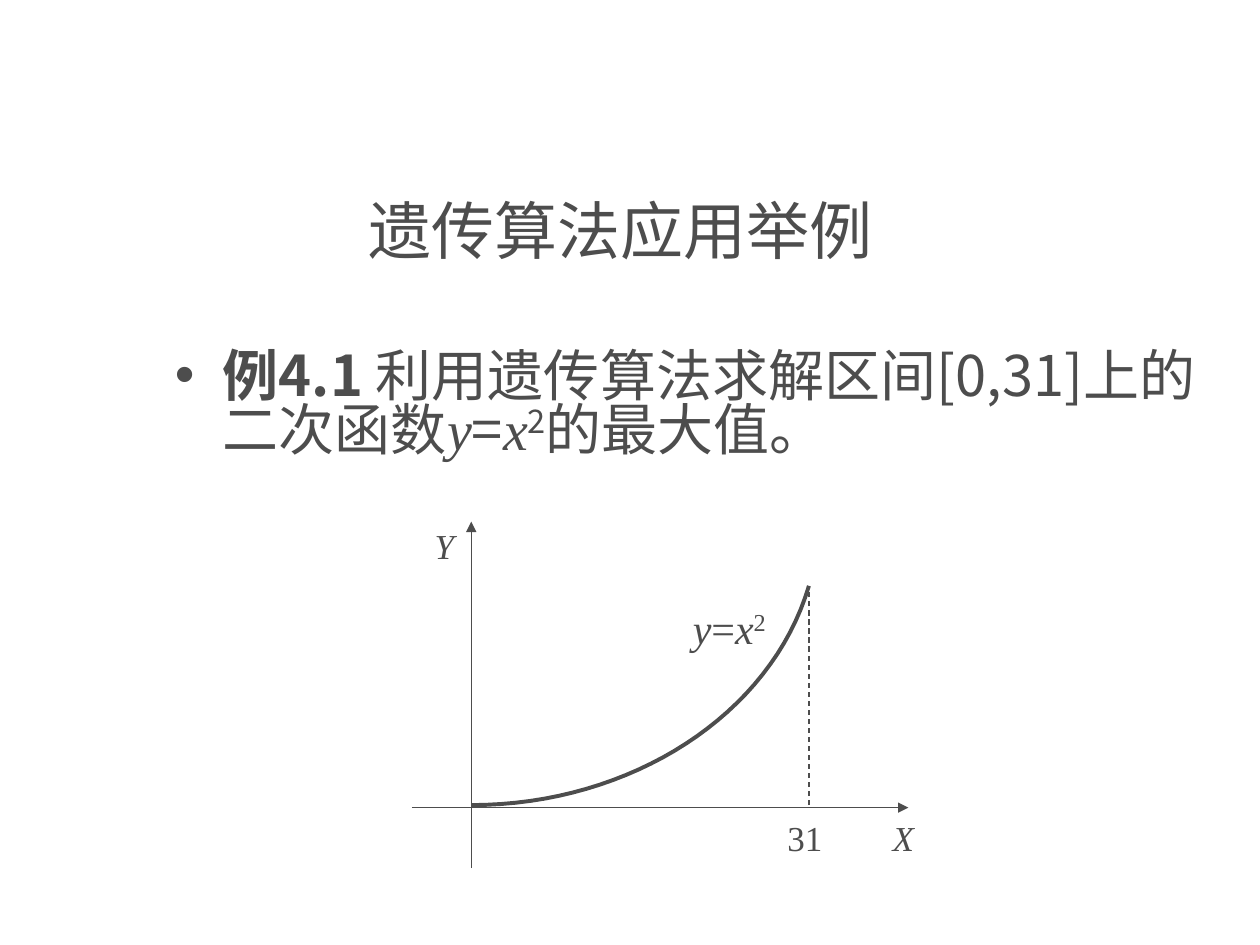
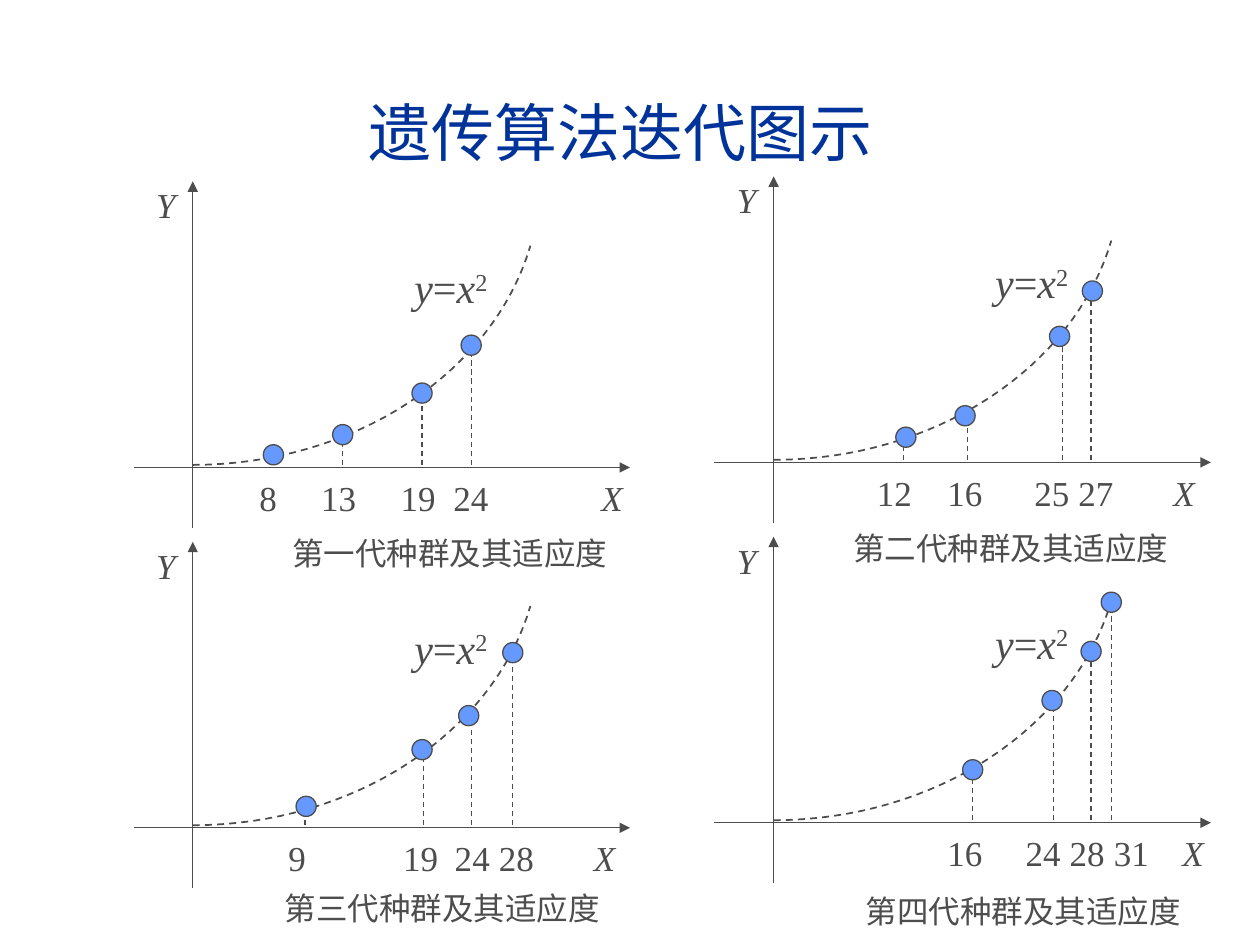
from dataclasses import dataclass
from typing import Optional

from lxml import etree
from pptx import Presentation
from pptx.dml.color import RGBColor
from pptx.enum.dml import MSO_LINE
from pptx.enum.shapes import MSO_CONNECTOR, MSO_SHAPE
from pptx.enum.text import MSO_ANCHOR
from pptx.oxml.ns import qn
from pptx.util import Inches, Pt

COLORS = {"ink": "4D4D4D", "title_blue": "003399", "dot": "6699FF"}
CJK, SERIF, SANS = "Noto Sans CJK SC", "Times New Roman", "Arial"
DOT_SIZE = 0.16
CURVE_STEPS = 32
# Bezier points of y = x² as offsets right of and above the axis crossing
CURVE = ((0, 0.02), (1.27, 0.02), (2.38, 0.74), (2.68, 1.76))


@dataclass
class Run:
    text: str
    font: str = SERIF
    size: float = 20
    color: str = "ink"
    bold: bool = False
    italic: bool = False
    superscript: bool = False


@dataclass
class Point:
    """One individual; offsets are inches right of and above the axis crossing."""
    label: str
    label_x: float
    x: float
    y: float
    drop_x: Optional[float]
    dot: bool = True


@dataclass
class Plot:
    left: float
    base: float
    points: list[Point]
    x_name_at: float
    caption: str = ""
    caption_at: tuple[float, float] = (0, 0)
    ticks_from: float = 0.2
    curve_width: float = 1
    curve_dash: bool = True


def rgb(name: str) -> RGBColor:
    return RGBColor.from_string(COLORS[name])


def formula(size: float, sign_font: str = SERIF) -> list[Run]:
    return [Run("y", size=size, italic=True), Run("=", sign_font, size),
            Run("x", size=size, italic=True),
            Run("2", sign_font, size, superscript=True)]


def add_text(slide, left: float, top: float, width: float, height: float,
             runs: list[Run], inset: bool = True):
    box = slide.shapes.add_textbox(Inches(left), Inches(top),
                                   Inches(width), Inches(height))
    frame = box.text_frame
    frame.word_wrap = True
    if not inset:
        frame.margin_left = frame.margin_right = 0
        frame.margin_top = frame.margin_bottom = 0
    for item in runs:
        run = frame.paragraphs[0].add_run()
        run.text = item.text
        font = run.font
        font.name, font.size = item.font, Pt(item.size)
        font.bold, font.italic = item.bold, item.italic
        font.color.rgb = rgb(item.color)
        properties = run._r.get_or_add_rPr()
        etree.SubElement(properties, qn("a:ea"), typeface=CJK)
        if item.superscript:
            properties.set("baseline", "30000")
    return frame


def add_title(slide, top: float, text: str, color: str) -> None:
    frame = add_text(slide, 2.83, top, 7.17, 0.56, [Run(text, CJK, 36, color)])
    frame.vertical_anchor = MSO_ANCHOR.MIDDLE


def add_bullet(paragraph) -> None:
    properties = paragraph._p.get_or_add_pPr()
    properties.set("marL", str(Inches(0.38)))
    properties.set("indent", str(-Inches(0.38)))
    etree.SubElement(properties, qn("a:buFont"), typeface=SANS)
    etree.SubElement(properties, qn("a:buChar"), char="•")


def add_center_tabs(paragraph, positions: list[float]) -> None:
    tabs = etree.SubElement(paragraph._p.get_or_add_pPr(), qn("a:tabLst"))
    for position in positions:
        etree.SubElement(tabs, qn("a:tab"), pos=str(Inches(position)), algn="ctr")


def add_line(slide, start: tuple[float, float], end: tuple[float, float],
             arrow: bool = False, dash: bool = False) -> None:
    connector = slide.shapes.add_connector(
        MSO_CONNECTOR.STRAIGHT, *(Inches(value) for value in start + end))
    connector.line.color.rgb = rgb("ink")
    connector.line.width = Pt(0.75)
    if dash:
        connector.line.dash_style = MSO_LINE.DASH
    if arrow:
        etree.SubElement(connector.line._get_or_add_ln(), qn("a:tailEnd"),
                         type="triangle")
    etree.SubElement(connector._element.spPr, qn("a:effectLst"))


def curve_point(step: int) -> tuple[float, float]:
    t = step / CURVE_STEPS
    weights = ((1 - t) ** 3, 3 * t * (1 - t) ** 2, 3 * t ** 2 * (1 - t), t ** 3)
    x, y = (sum(w * point[axis] for w, point in zip(weights, CURVE))
            for axis in (0, 1))
    return x, y


def add_curve(slide, plot: Plot) -> None:
    vertices = [(Inches(plot.left + x), Inches(plot.base - y))
                for x, y in map(curve_point, range(CURVE_STEPS + 1))]
    builder = slide.shapes.build_freeform(*vertices[0])
    builder.add_line_segments(vertices[1:], close=False)
    shape = builder.convert_to_shape()
    shape.shadow.inherit = False
    shape.fill.background()
    shape.line.color.rgb = rgb("ink")
    shape.line.width = Pt(plot.curve_width)
    if plot.curve_dash:
        shape.line.dash_style = MSO_LINE.DASH


def add_dot(slide, x: float, y: float) -> None:
    dot = slide.shapes.add_shape(
        MSO_SHAPE.OVAL, Inches(x - DOT_SIZE / 2), Inches(y - DOT_SIZE / 2),
        Inches(DOT_SIZE), Inches(DOT_SIZE))
    dot.shadow.inherit = False
    dot.fill.solid()
    dot.fill.fore_color.rgb = rgb("dot")
    dot.line.color.rgb = rgb("ink")
    dot.line.width = Pt(0.75)


def add_tick_labels(slide, plot: Plot) -> None:
    """Write the x values and the axis name in one box, each on a centred tab."""
    start = plot.ticks_from
    values = "".join(f"\t{point.label}" for point in plot.points)
    frame = add_text(slide, plot.left + start, plot.base + 0.02, 3.86 - start, 0.44,
                     [Run(values + "\t"), Run("X", italic=True)])
    centers = [point.label_x for point in plot.points] + [plot.x_name_at]
    add_center_tabs(frame.paragraphs[0], [center - start - 0.1 for center in centers])


def add_plot(slide, plot: Plot) -> None:
    left, base = plot.left, plot.base
    for point in plot.points:
        if point.drop_x is not None:
            x = left + point.drop_x
            add_line(slide, (x, base - 0.02), (x, base - point.y), dash=True)
    add_line(slide, (left - 0.47, base), (left + 3.47, base), arrow=True)
    add_line(slide, (left, base + 0.48), (left, base - 2.27), arrow=True)
    add_curve(slide, plot)
    for point in plot.points:
        if point.dot:
            add_dot(slide, left + point.x, base - point.y)
    add_text(slide, left - 0.39, base - 2.3, 0.31, 0.44, [Run("Y", italic=True)])
    add_text(slide, left + 1.66, base - 1.68, 0.87, 0.5, formula(24))
    add_tick_labels(slide, plot)
    if plot.caption:
        x, y = plot.caption_at
        add_text(slide, left + x, base + y, 2.68, 0.3,
                 [Run(plot.caption, SANS, 18)], inset=False)


LEFT, RIGHT = 1.53, 6.14
TOP, ROW_STEP, RIGHT_RISE = 3.71, 2.86, 0.04
BOTTOM = TOP + ROW_STEP

MAXIMUM = Plot(3.74, 6.41, [Point("31", 2.65, 2.68, 1.75, 2.68, dot=False)], 3.43,
               ticks_from=2.28, curve_width=2.25, curve_dash=False)

GENERATIONS = [
    Plot(LEFT, TOP, [
        Point("8", 0.6, 0.64, 0.1, None),
        Point("13", 1.16, 1.19, 0.26, 1.19),
        Point("19", 1.79, 1.82, 0.59, 1.82),
        Point("24", 2.21, 2.21, 0.97, 2.21),
    ], 3.33, "第一代种群及其适应度", (0.79, 0.53)),
    Plot(RIGHT, TOP - RIGHT_RISE, [
        Point("12", 0.96, 1.05, 0.2, 1.03),
        Point("16", 1.52, 1.52, 0.37, 1.54),
        Point("25", 2.21, 2.27, 1, 2.29),
        Point("27", 2.56, 2.53, 1.36, 2.52),
    ], 3.26, "第二代种群及其适应度", (0.63, 0.53)),
    Plot(LEFT, BOTTOM, [
        Point("9", 0.83, 0.9, 0.17, 0.89),
        Point("19", 1.81, 1.82, 0.62, 1.83),
        Point("24", 2.22, 2.19, 0.89, 2.21),
        Point("28", 2.57, 2.54, 1.39, 2.54),
    ], 3.27, "第三代种群及其适应度", (0.73, 0.49)),
    Plot(RIGHT, BOTTOM - RIGHT_RISE, [
        Point("16", 1.52, 1.58, 0.42, 1.58),
        Point("24", 2.14, 2.21, 0.97, 2.22),
        Point("28", 2.49, 2.52, 1.36, 2.52),
        Point("31", 2.84, 2.68, 1.75, 2.68),
    ], 3.33, "第四代种群及其适应度", (0.73, 0.55)),
]


def build_example(slide) -> None:
    add_title(slide, 1.54, "遗传算法应用举例", "ink")
    frame = add_text(slide, 1.29, 2.73, 8.36, 4.33, [
        Run("例4.1 ", CJK, 32, bold=True),
        Run("利用遗传算法求解区间[0,31]上的二次函数", CJK, 32),
        *formula(32, CJK),
        Run("的最大值。", CJK, 32),
    ])
    frame.margin_top = Inches(0.08)
    frame.paragraphs[0].line_spacing = 0.8
    add_bullet(frame.paragraphs[0])
    add_plot(slide, MAXIMUM)


def build_generations(slide) -> None:
    add_title(slide, 0.76, "遗传算法迭代图示", "title_blue")
    for plot in GENERATIONS:
        add_plot(slide, plot)


def main() -> None:
    presentation = Presentation()
    presentation.slide_width, presentation.slide_height = Inches(10), Inches(7.5)
    blank = presentation.slide_layouts[6]
    for build in (build_example, build_generations):
        build(presentation.slides.add_slide(blank))
    presentation.save("out.pptx")


if __name__ == "__main__":
    main()
